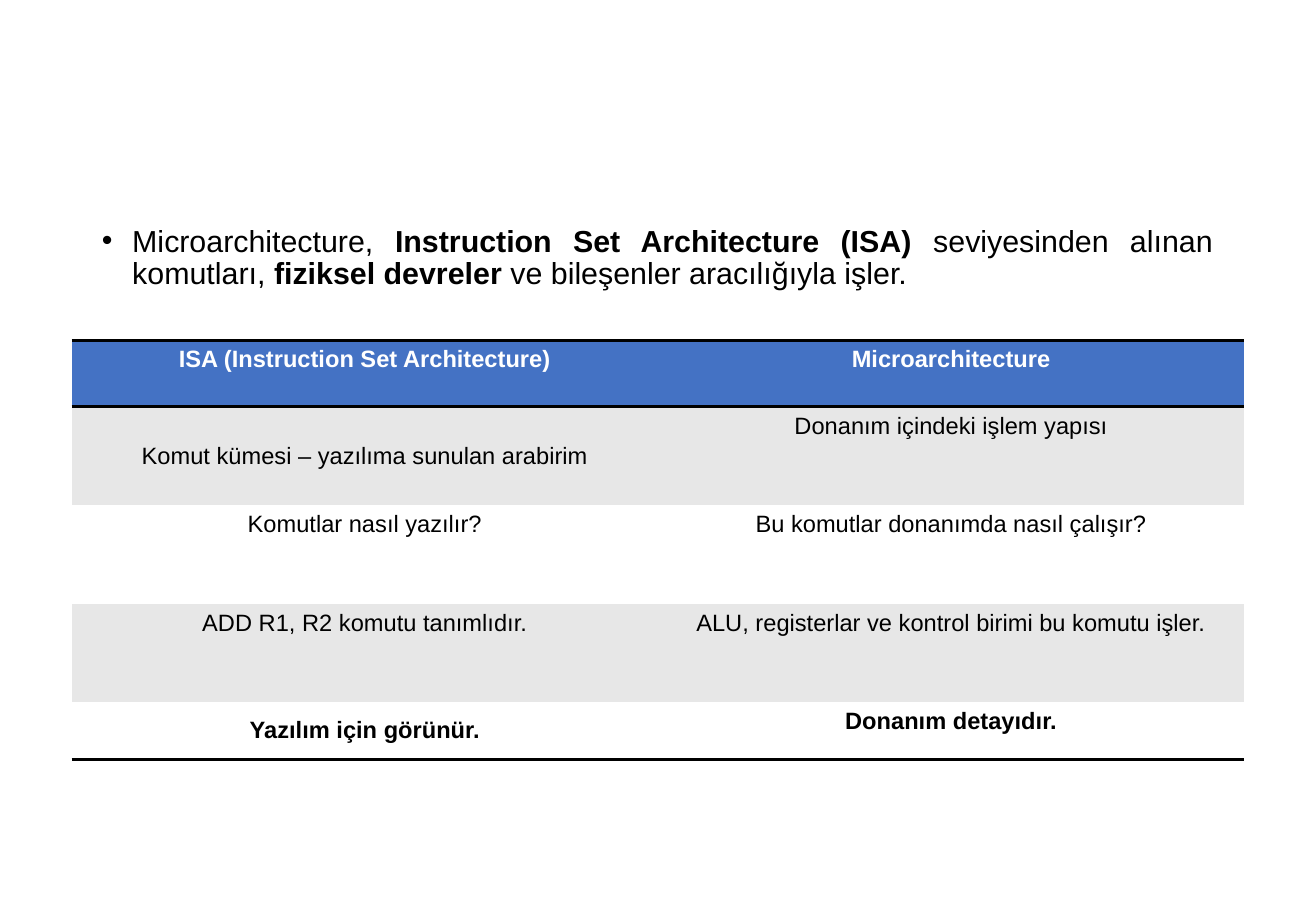
import pptx
import pptx.util
import pptx.dml.color
import pptx.enum.text
import pptx.oxml.ns
import lxml.etree

Inches = pptx.util.Inches
RGB = pptx.dml.color.RGBColor
ALIGN = pptx.enum.text.PP_ALIGN
MIDDLE = pptx.enum.text.MSO_ANCHOR.MIDDLE
qn = pptx.oxml.ns.qn

BLACK = RGB(0x00, 0x00, 0x00)
WHITE = RGB(0xFF, 0xFF, 0xFF)
BLUE = RGB(0x44, 0x72, 0xC4)
GRAY = RGB(0xE7, 0xE7, 0xE7)
NO_GRID_STYLE = "{2D5ABB26-0587-4C30-8999-92F81FD0307C}"

INTRO = [
    ("Microarchitecture, ", False),
    ("Instruction Set Architecture (ISA)", True),
    (" seviyesinden alınan komutları, ", False),
    ("fiziksel devreler", True),
    (" ve bileşenler aracılığıyla işler.", False),
]
ROWS = [
    ("ISA (Instruction Set Architecture)", "Microarchitecture"),
    ("Komut kümesi – yazılıma sunulan arabirim", "Donanım içindeki işlem yapısı"),
    ("Komutlar nasıl yazılır?", "Bu komutlar donanımda nasıl çalışır?"),
    ("ADD R1, R2 komutu tanımlıdır.", "ALU, registerlar ve kontrol birimi bu komutu işler."),
    ("Yazılım için görünür.", "Donanım detayıdır."),
]
ROW_HEIGHTS = [0.55, 0.81, 0.81, 0.81, 0.47]
ROW_FILLS = [BLUE, GRAY, WHITE, GRAY, WHITE]
ROW_BORDERS = {0: ("lnT", "lnB"), 4: ("lnB",)}
BOLD_ROWS = (0, 4)
MIDDLE_CELLS = ((1, 0), (4, 0))


def set_font(font, size, color, bold):
    """Apply the slide's font with the given size, colour and weight."""
    values = {"name": "Arial", "size": pptx.util.Pt(size), "bold": bold}
    for name, value in values.items():
        setattr(font, name, value)
    font.color.rgb = color


def add_bullet(p):
    """Give a paragraph a hanging bullet."""
    pPr = p._p.get_or_add_pPr()
    pPr.set("marL", str(Inches(0.25)))
    pPr.set("indent", str(Inches(-0.25)))
    lxml.etree.SubElement(pPr, qn("a:buFont")).set("typeface", "Arial")
    lxml.etree.SubElement(pPr, qn("a:buChar")).set("char", "•")


def add_intro(s):
    """Add the justified bullet paragraph above the table."""
    sp = s.shapes.add_textbox(Inches(0.74), Inches(1.81), Inches(9.34), Inches(0.84))
    tf = sp.text_frame
    tf.word_wrap = True
    p = tf.paragraphs[0]
    add_bullet(p)
    for name, value in {"alignment": ALIGN.JUSTIFY, "line_spacing": 0.9}.items():
        setattr(p, name, value)
    for text, bold in INTRO:
        r = p.add_run()
        r.text = text
        set_font(r.font, 18, BLACK, bold)


def add_borders(cell, tags):
    """Draw black rules on the named sides of a cell."""
    tcPr = cell._tc.get_or_add_tcPr()
    for i, tag in enumerate(tags):
        ln = lxml.etree.Element(qn("a:" + tag), w=str(pptx.util.Pt(2)))
        fill = lxml.etree.SubElement(ln, qn("a:solidFill"))
        lxml.etree.SubElement(fill, qn("a:srgbClr")).set("val", str(BLACK))
        tcPr.insert(i, ln)


def fill_cell(cell, row, col):
    """Write and format one table cell."""
    cell.fill.solid()
    cell.fill.fore_color.rgb = ROW_FILLS[row]
    if (row, col) in MIDDLE_CELLS:
        cell.vertical_anchor = MIDDLE
    p = cell.text_frame.paragraphs[0]
    p.alignment = ALIGN.CENTER
    r = p.add_run()
    r.text = ROWS[row][col]
    set_font(r.font, 14, BLACK if row else WHITE, row in BOLD_ROWS)
    add_borders(cell, ROW_BORDERS.get(row, ()))


def add_comparison(s):
    """Add the table comparing ISA with microarchitecture."""
    frame = s.shapes.add_table(len(ROWS), 2, Inches(0.59), Inches(2.8),
                               Inches(9.65), Inches(sum(ROW_HEIGHTS)))
    table = frame.table
    table.horz_banding = False
    table._tbl.tblPr.find(qn("a:tableStyleId")).text = NO_GRID_STYLE
    for row, height in enumerate(ROW_HEIGHTS):
        table.rows[row].height = Inches(height)
        for col in range(2):
            fill_cell(table.cell(row, col), row, col)


def main():
    """Build the slide and save it."""
    prs = pptx.Presentation()
    prs.slide_width, prs.slide_height = Inches(10.83), Inches(7.5)
    s = prs.slides.add_slide(prs.slide_layouts[6])
    add_intro(s)
    add_comparison(s)
    prs.save("out.pptx")


if __name__ == "__main__":
    main()
